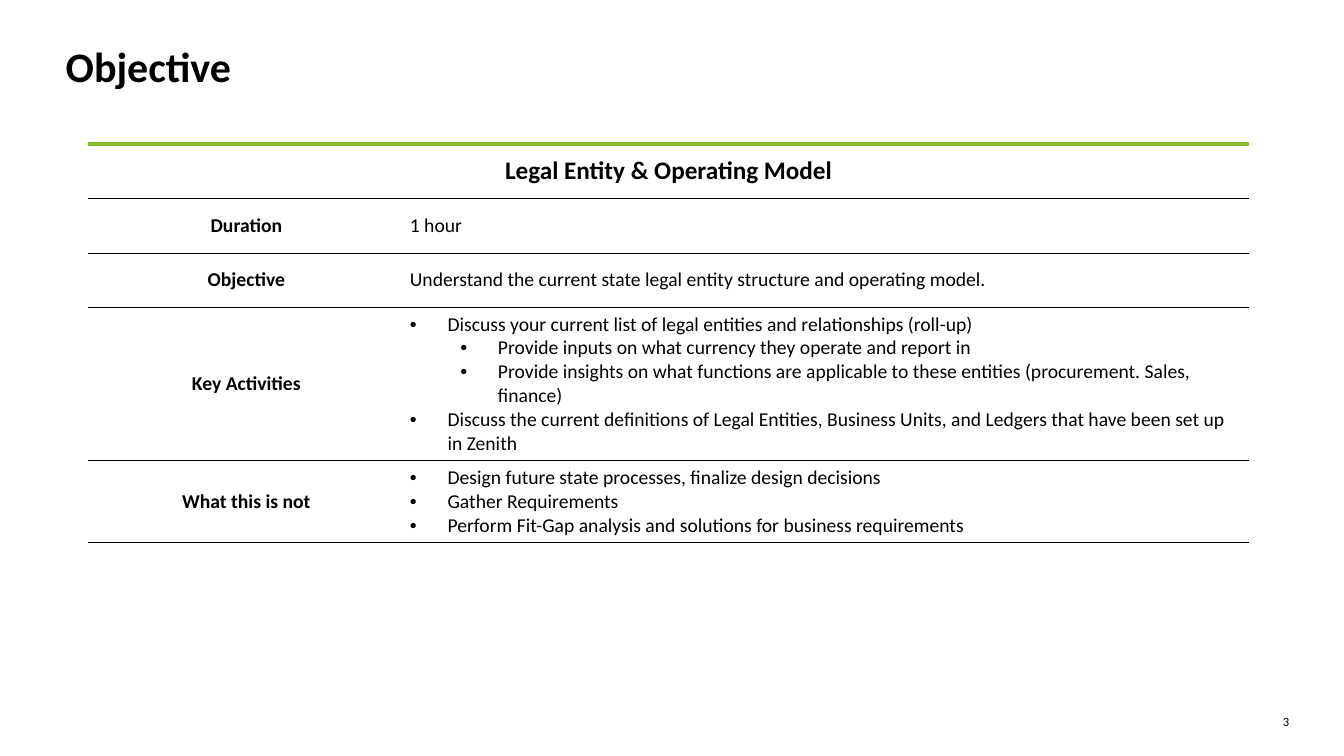
from collections import namedtuple

from lxml import etree
from pptx import Presentation
from pptx.dml.color import RGBColor
from pptx.enum.text import MSO_ANCHOR, PP_ALIGN
from pptx.oxml.ns import qn
from pptx.util import Cm, Pt

CENTER, LEFT, RIGHT = PP_ALIGN.CENTER, PP_ALIGN.LEFT, PP_ALIGN.RIGHT
TOP, MIDDLE = MSO_ANCHOR.TOP, MSO_ANCHOR.MIDDLE
FONT = "Calibri"
BLACK, GREEN = "000000", "86BC25"
TITLE_ONLY = 5
HEADING = "Legal Entity & Operating Model"
LABEL_SHARE = 0.2727
CELL_MARGIN = Cm(0.13)
BULLET_HANG, LEVEL_STEP = Cm(0.95), Cm(1.27)

Box = namedtuple("Box", "left top width height")
Item = namedtuple("Item", "text level")

DETAILS = [
    ("Duration", [Item("1 hour", None)]),
    ("Objective", [Item("Understand the current state legal entity structure and operating model.", None)]),
    ("Key Activities", [
        Item("Discuss your current list of legal entities and relationships (roll-up)", 0),
        Item("Provide inputs on what currency they operate and report in", 1),
        Item("Provide insights on what functions are applicable to these entities "
             "(procurement. Sales, finance)", 1),
        Item("Discuss the current definitions of Legal Entities, Business Units, and Ledgers "
             "that have been set up in Zenith", 0),
    ]),
    ("What this is not", [
        Item("Design future state processes, finalize design decisions", 0),
        Item("Gather Requirements", 0),
        Item("Perform Fit-Gap analysis and solutions for business requirements", 0),
    ]),
]


def color(value):
    return RGBColor.from_string(value)


def add_bullet(para, level):
    para.level = level
    properties = para._p.get_or_add_pPr()
    properties.set("marL", str(BULLET_HANG + level * LEVEL_STEP))
    properties.set("indent", str(-BULLET_HANG))
    etree.SubElement(properties, qn("a:buFont"), typeface="Arial")
    etree.SubElement(properties, qn("a:buChar"), char="•")


def write(para, text, size=14, bold=False, align=LEFT, level=None):
    para.alignment = align
    if level is not None:
        add_bullet(para, level)
    span = para.add_run()
    span.text = text
    span.font.name = FONT
    span.font.size = Pt(size)
    span.font.bold = bold
    span.font.color.rgb = color(BLACK)


def set_borders(cell, top_color, top_width):
    edges = [("a:lnL", None, 0), ("a:lnR", None, 0),
             ("a:lnT", top_color, top_width), ("a:lnB", BLACK, 0.25)]
    properties = cell._tc.get_or_add_tcPr()
    for index, (tag, line_color, width) in enumerate(edges):
        line = etree.Element(qn(tag), w=str(Pt(width)))
        if line_color:
            fill = etree.SubElement(line, qn("a:solidFill"))
            etree.SubElement(fill, qn("a:srgbClr"), val=line_color)
        else:
            etree.SubElement(line, qn("a:noFill"))
        properties.insert(index, line)


def format_cell(cell, top_color=BLACK, top_width=0.25):
    cell.fill.background()
    cell.vertical_anchor = MIDDLE
    cell.margin_left = cell.margin_right = CELL_MARGIN
    cell.margin_top = cell.margin_bottom = CELL_MARGIN
    set_borders(cell, top_color, top_width)


def place_title(page, box, text):
    title = page.shapes.title
    title.left, title.top, title.width, title.height = box
    title.text_frame.vertical_anchor = TOP
    write(title.text_frame.paragraphs[0], text, size=30, bold=True)


def place_table(page, box):
    frame = page.shapes.add_table(len(DETAILS) + 1, 2, *box)
    table = frame.table
    table.first_row = table.horz_banding = False
    label_width = int(box.width * LABEL_SHARE)
    table.columns[0].width = label_width
    table.columns[1].width = box.width - label_width

    for cell in table.rows[0].cells:
        format_cell(cell, GREEN, 3)
    heading = table.cell(0, 0)
    heading.merge(table.cell(0, 1))
    write(heading.text_frame.paragraphs[0], HEADING, size=18, bold=True, align=CENTER)

    for row, (label, items) in enumerate(DETAILS, start=1):
        label_cell, detail_cell = table.cell(row, 0), table.cell(row, 1)
        format_cell(label_cell)
        format_cell(detail_cell)
        write(label_cell.text_frame.paragraphs[0], label, bold=True, align=CENTER)
        text = detail_cell.text_frame
        for index, item in enumerate(items):
            para = text.add_paragraph() if index else text.paragraphs[0]
            write(para, item.text, level=item.level)


def place_page_number(page, box, number):
    text = page.shapes.add_textbox(*box).text_frame
    text.word_wrap = True
    text.margin_left = text.margin_right = text.margin_top = text.margin_bottom = 0
    write(text.paragraphs[0], number, size=9, align=RIGHT)


def main():
    deck = Presentation()
    deck.slide_width, deck.slide_height = Cm(33.87), Cm(19.05)
    page = deck.slides.add_slide(deck.slide_layouts[TITLE_ONLY])
    place_title(page, Box(Cm(1.4), Cm(0.89), Cm(31.09), Cm(0.94)), "Objective")
    place_table(page, Box(Cm(2.22), Cm(3.63), Cm(29.26), Cm(6.85)))
    place_page_number(page, Box(Cm(31.62), Cm(17.98), Cm(0.87), Cm(0.38)), "3")
    deck.save("out.pptx")


if __name__ == "__main__":
    main()
